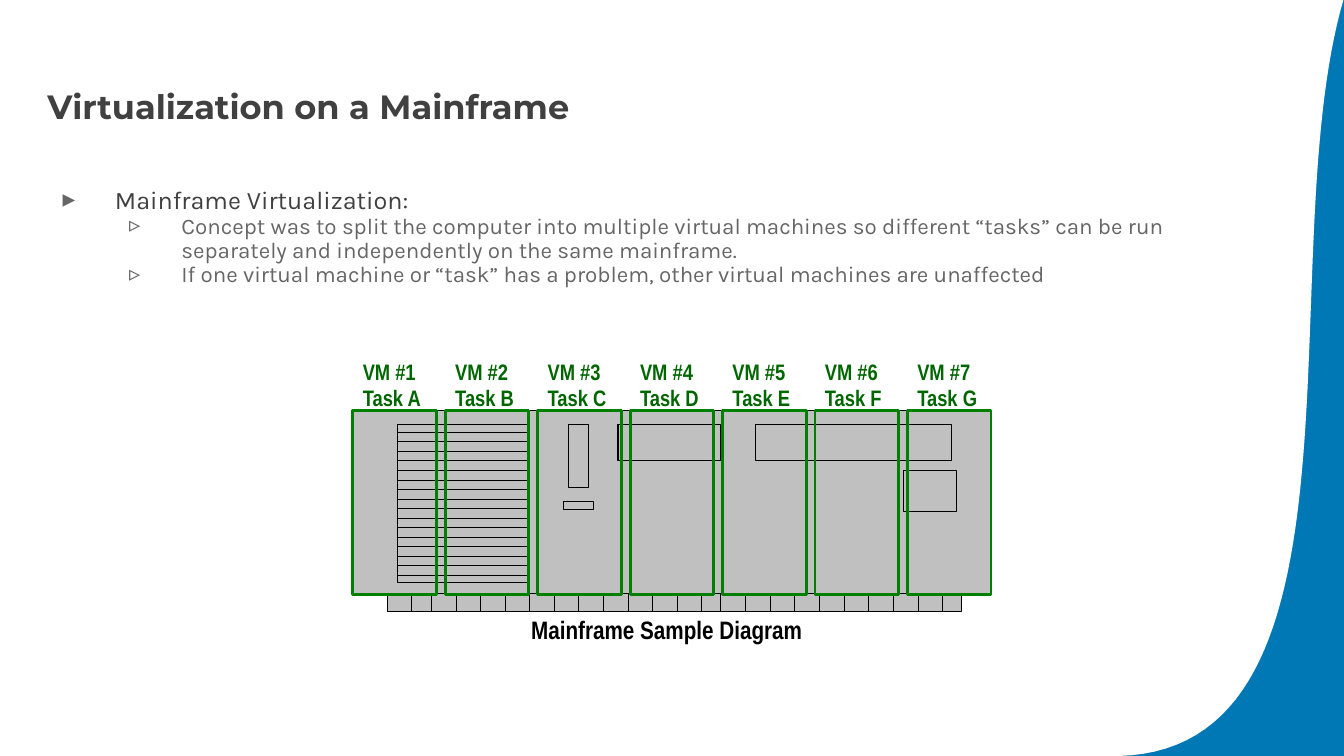
from dataclasses import dataclass

from lxml import etree
from pptx import Presentation
from pptx import util as u
from pptx.dml.color import RGBColor
from pptx.enum import shapes, text
from pptx.oxml import ns


@dataclass(frozen=True)
class Theme:
    blue: str = "0078B6"
    white: str = "FFFFFF"
    black: str = "000000"
    dark: str = "404040"
    gray: str = "666666"
    metal: str = "C0C0C0"
    frame: str = "008000"
    label: str = "006600"
    title_font: str = "Montserrat"
    body_font: str = "Karla"
    diagram_font: str = "Arial Narrow"
    title_size: int = 24
    lead_size: int = 18
    detail_size: int = 16


theme = Theme()


def add_run(paragraph, words, font_name, size, color, bold=False):
    run = paragraph.add_run()
    run.text = words
    run.font.name = font_name
    run.font.size = u.Pt(size)
    run.font.bold = bold
    run.font.color.rgb = RGBColor.from_string(color)


def add_outline(contours, fill=None, line=None, close=False):
    builder = None
    for contour in contours:
        points = [(u.Inches(x), u.Inches(y)) for x, y in contour]
        if builder is None:
            builder = slide.shapes.build_freeform(*points[0])
        else:
            builder.move_to(*points[0])
        builder.add_line_segments(points[1:], close=close)
    shape = builder.convert_to_shape()
    shape.shadow.inherit = False
    if fill:
        shape.fill.solid()
        shape.fill.fore_color.rgb = RGBColor.from_string(fill)
    else:
        shape.fill.background()
    if line:
        shape.line.color.rgb = RGBColor.from_string(line)
        shape.line.width = u.Pt(0.75)
    else:
        shape.line.fill.background()
    return shape


presentation = Presentation()
presentation.slide_width = u.Inches(13.33)
presentation.slide_height = u.Inches(7.5)
slide = presentation.slides.add_slide(presentation.slide_layouts[1])
slide.background.fill.solid()
slide.background.fill.fore_color.rgb = RGBColor.from_string(theme.blue)

curve = [(13.33, -0.02), (12.59, 2.49), (13.71, 7.44), (11.09, 7.5)]
weights = [1, 3, 3, 1]
page_edge = [(0, 7.5), (0, -0.02)]
for step in range(61):
    t = step / 60
    blend = [weight * (1 - t) ** (3 - i) * t ** i for i, weight in enumerate(weights)]
    page_edge.append(tuple(sum(b * point[axis] for b, point in zip(blend, curve))
                           for axis in (0, 1)))
page = add_outline([page_edge], fill=theme.white, close=True)
slide.shapes._spTree.insert(2, page._element)

title, body = slide.shapes.title, slide.placeholders[1]
for placeholder, top, height, anchor in (
        (title, 0.64, 0.71, text.MSO_ANCHOR.BOTTOM),
        (body, 1.76, 5.17, text.MSO_ANCHOR.TOP)):
    placeholder.left, placeholder.top = u.Inches(0.37), u.Inches(top)
    placeholder.width, placeholder.height = u.Inches(11.91), u.Inches(height)
    frame = placeholder.text_frame
    frame.word_wrap = True
    frame.auto_size = text.MSO_AUTO_SIZE.NONE
    frame.vertical_anchor = anchor
    frame.margin_left = frame.margin_right = u.Inches(0.1)
    frame.margin_top = frame.margin_bottom = u.Inches(0.1)

heading = title.text_frame.paragraphs[0]
heading.alignment = text.PP_ALIGN.LEFT
add_run(heading, "Virtualization on a Mainframe", theme.title_font,
        theme.title_size, theme.dark, bold=True)

points = [
    (0, "Mainframe Virtualization:"),
    (1, "Concept was to split the computer into multiple virtual machines so "
        "different “tasks” can be run separately and independently on the same mainframe."),
    (1, "If one virtual machine or “task” has a problem, other virtual machines "
        "are unaffected"),
]
level_styles = [("▸", 0.67, theme.lead_size, theme.dark),
                ("▹", 1.33, theme.detail_size, theme.gray)]
for index, (level, words) in enumerate(points):
    bullet, indent, size, color = level_styles[level]
    frame = body.text_frame
    paragraph = frame.add_paragraph() if index else frame.paragraphs[0]
    paragraph.level = level
    properties = paragraph._p.get_or_add_pPr()
    properties.set("marL", str(u.Inches(indent)))
    properties.set("indent", str(u.Inches(-0.52)))
    bullet_color = etree.SubElement(properties, ns.qn("a:buClr"))
    etree.SubElement(bullet_color, ns.qn("a:srgbClr"), val=theme.gray)
    etree.SubElement(properties, ns.qn("a:buFont"), typeface=theme.body_font)
    etree.SubElement(properties, ns.qn("a:buChar"), char=bullet)
    paragraph.line_spacing = 0.9
    paragraph.space_before = u.Pt(0)
    add_run(paragraph, words, theme.body_font, size, color)

cabinet = [(3.5, 4.07), (9.83, 4.07), (9.83, 5.89), (9.54, 5.89),
           (9.54, 6.07), (3.84, 6.07), (3.84, 5.89), (3.5, 5.89)]
add_outline([cabinet], fill=theme.metal, line=theme.black, close=True)

panels = [(3.94, 4.21, 5.25, 5.78), (5.64, 4.21, 5.84, 4.84),
          (5.59, 4.98, 5.89, 5.06), (6.13, 4.21, 7.15, 4.57),
          (7.49, 4.21, 9.44, 4.57), (8.96, 4.67, 9.49, 5.08)]
details = [[(left, top), (right, top), (right, bottom), (left, bottom), (left, top)]
           for left, top, right, bottom in panels]
for vent in range(16):
    y = 4.29 + vent * 1.42 / 15
    details.append([(3.94, y), (5.25, y)])
details.append([(3.84, 5.89), (9.54, 5.89)])
base_joints = [4.08]
base_joints += [4.28 + i * 2.68 / 11 for i in range(12)]
base_joints += [7.15 + i * 2.2 / 9 for i in range(10)]
details += [[(x, 5.89), (x, 6.07)] for x in base_joints]
add_outline(details, line=theme.black)

labels = [(5.17, 6.05, 2.89, 0.4, ["Mainframe Sample Diagram"],
           theme.lead_size, theme.black)]
for number, task in enumerate("ABCDEFG", start=1):
    left = 3.5 + (number - 1) * 5.5 / 6
    machine = slide.shapes.add_shape(
        shapes.MSO_SHAPE.RECTANGLE, u.Inches(left), u.Inches(4.07),
        u.Inches(0.83), u.Inches(1.83))
    machine.shadow.inherit = False
    machine.fill.background()
    machine.line.color.rgb = RGBColor.from_string(theme.frame)
    machine.line.width = u.Pt(2)
    labels.append((left, 3.5, 0.8, 0.64, [f"VM #{number}", f"Task {task}"],
                   theme.detail_size, theme.label))

for left, top, width, height, lines, size, color in labels:
    label = slide.shapes.add_textbox(u.Inches(left), u.Inches(top),
                                     u.Inches(width), u.Inches(height))
    frame = label.text_frame
    frame.word_wrap = False
    frame.auto_size = text.MSO_AUTO_SIZE.SHAPE_TO_FIT_TEXT
    for index, words in enumerate(lines):
        paragraph = frame.add_paragraph() if index else frame.paragraphs[0]
        add_run(paragraph, words, theme.diagram_font, size, color, bold=True)

presentation.save("out.pptx")
